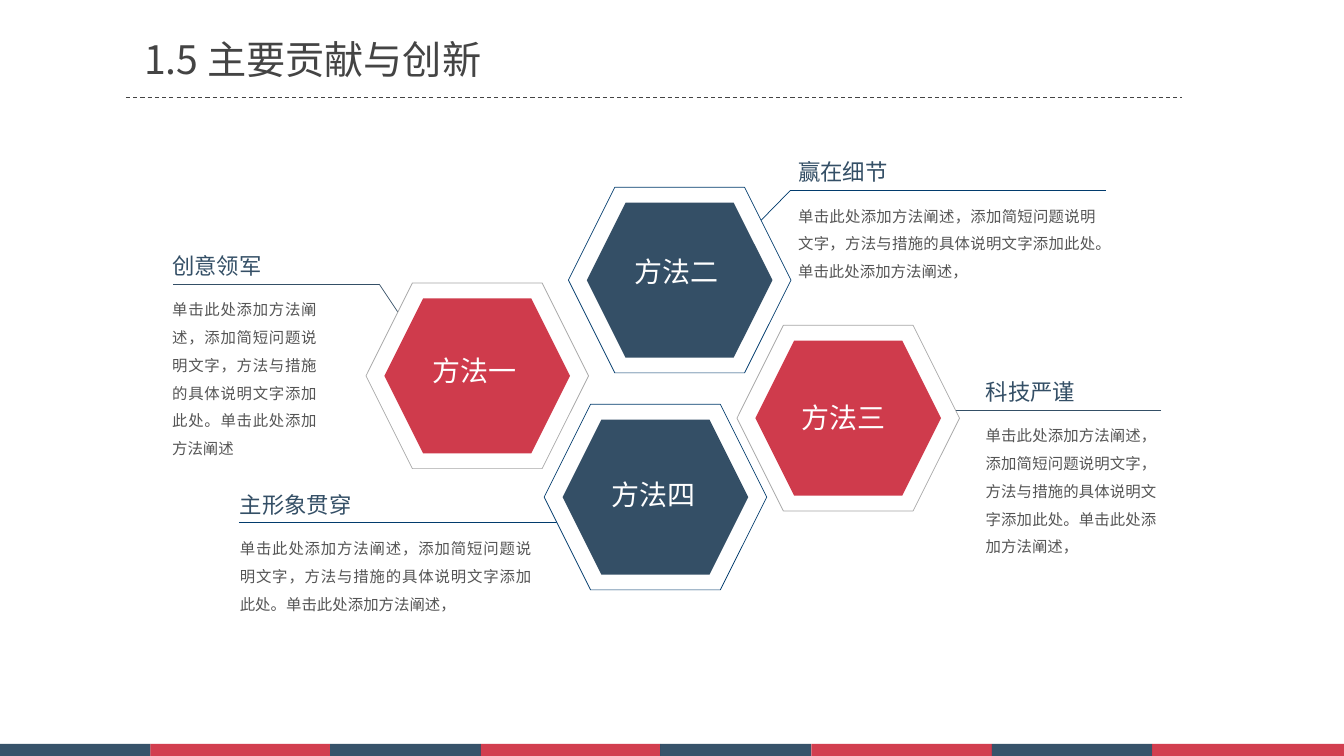
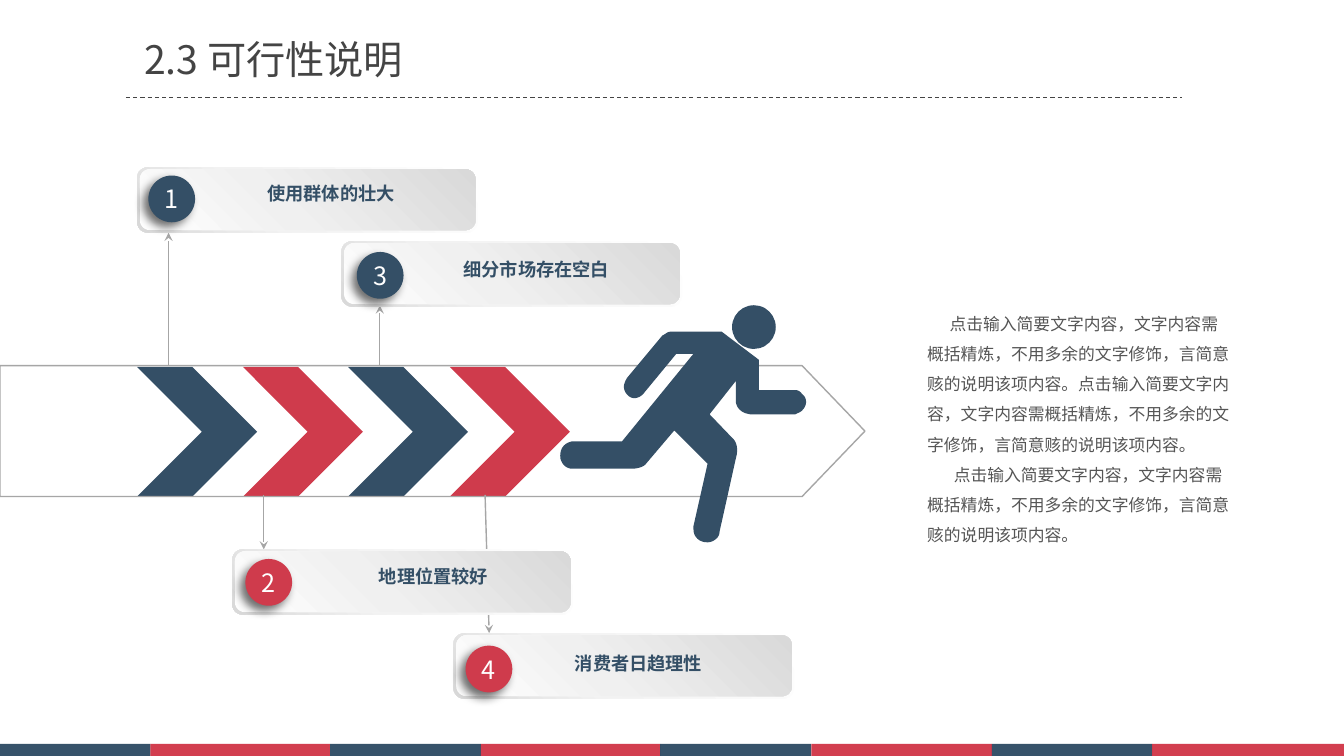
from dataclasses import dataclass
from copy import deepcopy
from lxml.etree import SubElement
from pptx import Presentation
from pptx.dml.color import RGBColor as RGB
from pptx.enum.dml import MSO_LINE as DASHES
from pptx.enum.shapes import MSO_CONNECTOR as LINK, MSO_SHAPE as FORM
from pptx.enum.text import MSO_ANCHOR as ANCHOR, MSO_AUTO_SIZE as AUTOSIZE, PP_ALIGN as ALIGN
from pptx.oxml.ns import qn
from pptx.shapes.connector import Connector
from pptx.util import Pt


@dataclass(frozen=True)
class Theme:
    font: str = "Noto Sans CJK SC"
    navy: str = "344F66"
    red: str = "CF3B4C"
    band_navy: str = "062845"
    band_red: str = "C70E23"
    blue_line: str = "013B6D"
    grey_line: str = "A6A6A6"
    title: str = "444444"
    body: str = "555555"
    white: str = "FFFFFF"
    title_size: float = 28
    label_size: float = 20
    number_size: float = 18
    heading_size: float = 16
    card_size: float = 13
    text_size: float = 12
    note_size: float = 11


theme = Theme()
SNUG = dict.fromkeys(("margin_left", "margin_right", "margin_top", "margin_bottom"), Pt(0))
BASE = {"word_wrap": True, "auto_size": AUTOSIZE.NONE, "vertical_anchor": ANCHOR.TOP}


def paint(shape, fill=None, outline=None, weight=0.5):
    if outline:
        shape.line.color.rgb = RGB.from_string(outline)
        shape.line.width = Pt(weight)
    else:
        shape.line.fill.background()
    if isinstance(shape, Connector):
        SubElement(shape._element.spPr, qn("a:effectLst"))
        return shape
    shape.shadow.inherit = False
    if fill:
        shape.fill.solid()
        shape.fill.fore_color.rgb = RGB.from_string(fill)
    else:
        shape.fill.background()
    return shape


def write(frame, text, size, color, layout=None, align=ALIGN.LEFT, spacing=1.0, bold=False):
    for name, value in {**BASE, **(layout or {})}.items():
        setattr(frame, name, value)
    frame.text = text
    for paragraph in frame.paragraphs:
        for name, value in {"alignment": align, "line_spacing": spacing}.items():
            setattr(paragraph, name, value)
        for run in paragraph.runs:
            for name, value in {"name": theme.font, "size": Pt(size), "bold": bold}.items():
                setattr(run.font, name, value)
            run.font.color.rgb = RGB.from_string(color)
            SubElement(run.font._element, qn("a:ea"), typeface=theme.font)


deck = Presentation()
deck.slide_width, deck.slide_height = Pt(960), Pt(540)

title_only = deck.slide_layouts[5]
layout_title, *unused = title_only.placeholders
for placeholder in unused:
    placeholder._element.getparent().remove(placeholder._element)
for name, value in {"left": 103, "top": 25.2, "width": 287.3, "height": 33.8}.items():
    setattr(layout_title, name, Pt(value))

slides = []
for heading in ("1.5 主要贡献与创新", "2.3 可行性说明"):
    slide = deck.slides.add_slide(title_only)
    write(slide.shapes.title.text_frame, heading, theme.title_size, theme.title, SNUG)
    slides.append(slide)
methods, feasibility = (slide.shapes for slide in slides)

shared = []
band_edges = [0, 107.5, 235.75, 343.5, 471.5, 579.5, 708.5, 823, 960]
for index, (left, right) in enumerate(zip(band_edges, band_edges[1:])):
    band = methods.add_shape(FORM.RECTANGLE, Pt(left), Pt(531.3), Pt(right - left), Pt(8.7))
    paint(band, (theme.band_navy, theme.band_red)[index % 2])
    tint = band._element.spPr.find(qn("a:solidFill"))[0]
    SubElement(tint, qn("a:alpha"), val="80000")
    shared.append(band)
title_rule = methods.add_connector(LINK.STRAIGHT, Pt(90), Pt(69.6), Pt(844), Pt(69.6))
paint(title_rule, outline=theme.title, weight=0.75)
title_rule.line.dash_style = DASHES.DASH
shared.append(title_rule)
for part in shared:
    title_only.shapes._spTree.append(part._element)

leaders = [
    (564.5, 136.1, 529.2, 172.1, theme.blue_line),
    (789.8, 136.1, 564.5, 136.1, theme.blue_line),
    (829.4, 293, 661.7, 293, theme.navy),
    (170.6, 373.4, 420.5, 373.4, theme.blue_line),
    (123.8, 203, 270.9, 203, theme.navy),
    (270.9, 203, 316.1, 270.7, theme.navy),
]
for *ends, color in leaders:
    paint(methods.add_connector(LINK.STRAIGHT, *map(Pt, ends)), outline=color)

cells = [
    ("方法二", 406, 133.8, 445.7, 178.6, theme.navy, theme.blue_line),
    ("方法一", 261.4, 202.2, 301.7, 249.1, theme.red, theme.grey_line),
    ("方法四", 388.7, 288.8, 429.1, 337.7, theme.navy, theme.blue_line),
    ("方法三", 526.4, 232.4, 565.2, 282.2, theme.red, theme.grey_line),
]
for label, left, top, label_left, label_top, fill, outline in cells:
    rim = methods.add_shape(FORM.HEXAGON, Pt(left), Pt(top), Pt(159), Pt(132.6))
    paint(rim, theme.white, outline)
    core = methods.add_shape(FORM.HEXAGON, Pt(left + 13.2), Pt(top + 10.9), Pt(132.6), Pt(110.8))
    paint(core, fill)
    caption = methods.add_textbox(Pt(label_left), Pt(label_top), Pt(74.9), Pt(31.7))
    write(caption.text_frame, label, theme.label_size, theme.white,
          {"word_wrap": False}, ALIGN.CENTER)

explanation = "单击此处添加方法阐述，添加简短问题说明文字，方法与措施的具体说明文字添加此处。单击此处添加方法阐述"
notes = [
    ("创意领军", 115.9, 176.4, 117.4, 127.4, ""),
    ("赢在细节", 563, 109.4, 226.8, 67, "，"),
    ("主形象贯穿", 164.2, 347, 222.5, 67, "，"),
    ("科技严谨", 697, 266.4, 136.1, 107.3, "，"),
]
for heading, left, top, width, height, ending in notes:
    heading_box = methods.add_textbox(Pt(left), Pt(top), Pt(134.6), Pt(26.6))
    write(heading_box.text_frame, heading, theme.heading_size, theme.navy)
    note = methods.add_textbox(Pt(left), Pt(top + 28.1), Pt(width), Pt(height))
    write(note.text_frame, explanation + ending, theme.note_size, theme.body,
          align=ALIGN.JUSTIFY, spacing=1.5)

for index, left in enumerate((97.9, 173.5, 248.6, 321.3)):
    chevron = feasibility.add_shape(FORM.CHEVRON, Pt(left), Pt(262.1), Pt(85.7), Pt(92.7))
    chevron.adjustments[0] = 0.54
    paint(chevron, (theme.navy, theme.red)[index % 2])

pointers = [
    (271.3, 261.4, 271.3, 218.2),
    (120.4, 261.4, 120.4, 166.3),
    (346.5, 353.5, 349.4, 452.2),
    (188.4, 353.5, 188.4, 392.4),
]
for ends in pointers:
    pointer = paint(feasibility.add_connector(LINK.STRAIGHT, *map(Pt, ends)),
                    outline=theme.grey_line, weight=1)
    SubElement(pointer._element.spPr.find(qn("a:ln")), qn("a:tailEnd"), type="stealth")

track = feasibility.add_shape(FORM.PENTAGON, Pt(0), Pt(261.2), Pt(617.8), Pt(93.5))
track.adjustments[0] = 0.48
paint(track, outline=theme.grey_line, weight=1)

advice = "点击输入简要文字内容，文字内容需概括精炼，不用多余的文字修饰，言简意赅的说明该项内容。"
summary = feasibility.add_textbox(Pt(655.2), Pt(213.1), Pt(231.1), Pt(179.3))
write(summary.text_frame, f"{advice * 2}\n{advice}", theme.text_size, theme.body, spacing=1.5)
for paragraph, indent in zip(summary.text_frame.paragraphs, (16, 19)):
    paragraph._p.get_or_add_pPr().set("indent", str(Pt(indent)))

cards = [
    ("1", "使用群体的壮大", 97.9, 119.4, 106, 125.4, 133.2, 206.6, theme.navy),
    ("2", "地理位置较好", 165.8, 392.3, 175.3, 399.3, 212.4, 194.4, theme.red),
    ("3", "细分市场存在空白", 243.8, 172.2, 254.9, 180, 283.7, 198.7, theme.navy),
    ("4", "消费者日趋理性", 323.9, 452.3, 332.6, 461.2, 352.8, 206.6, theme.red),
]
card_layers = [
    (0, 0, 243.4, 46.8, 225, ((0, "FFFFFF"), (0.62, "F2F2F2"), (1, "D9D9D9"))),
    (2, 1.5, 239.8, 43.5, 45, ((0, "FFFFFF"), (0.42, "F0F0F0"), (1, "D9D9D9"))),
]
for number, heading, left, top, dot_left, dot_top, text_left, text_width, color in cards:
    for inset_x, inset_y, width, height, angle, shades in card_layers:
        layer = feasibility.add_shape(FORM.ROUNDED_RECTANGLE, Pt(left + inset_x),
                                      Pt(top + inset_y), Pt(width), Pt(height))
        paint(layer)
        layer.fill.gradient()
        layer.fill.gradient_angle = angle
        stops = layer._element.spPr.find(qn("a:gradFill")).find(qn("a:gsLst"))
        stops.append(deepcopy(stops[-1]))
        for stop, (position, shade) in zip(layer.fill.gradient_stops, shades):
            stop.position = position
            stop.color.rgb = RGB.from_string(shade)
    dot = feasibility.add_shape(FORM.OVAL, Pt(dot_left), Pt(dot_top), Pt(33.4), Pt(33.4))
    paint(dot, color)
    shadow = SubElement(dot._element.spPr.find(qn("a:effectLst")), qn("a:outerShdw"),
                        blurRad=str(Pt(7)), dist=str(Pt(5)), dir="8100000",
                        algn="tr", rotWithShape="0")
    shade = SubElement(shadow, qn("a:srgbClr"), val="000000")
    SubElement(shade, qn("a:alpha"), val="57000")
    write(dot.text_frame, number, theme.number_size, theme.white,
          {**SNUG, "vertical_anchor": ANCHOR.MIDDLE}, ALIGN.CENTER)
    heading_box = feasibility.add_textbox(Pt(text_left), Pt(dot_top + 4.7), Pt(text_width), Pt(15.8))
    write(heading_box.text_frame, heading, theme.card_size, theme.navy, SNUG,
          ALIGN.CENTER, bold=True)

runner_head = feasibility.add_shape(FORM.OVAL, Pt(522.9), Pt(218), Pt(31.2), Pt(31.2))
paint(runner_head, theme.navy)

body_outline = [
    (567, 438), (617, 438), (688, 351), (671, 351), (638, 391),
    (636, 393, 633, 395, 629, 395), (624, 395, 619, 389, 619, 384),
    (619, 380, 621, 377, 622, 375), (657, 333), (661, 331, 662, 329, 666, 329),
    (716, 329), (753, 357), (753, 387), (789, 387),
    (793, 387, 794, 389, 796, 391), (801, 395, 801, 402, 796, 407),
    (794, 409, 793, 409, 789, 411), (744, 411), (730, 409, 730, 398, 730, 398),
    (730, 378), (704, 411), (728, 436), (728, 436, 734, 442, 730, 455),
    (714, 527), (714, 534, 707, 538, 702, 538), (694, 538, 688, 533, 688, 525),
    (688, 522), (702, 460), (669, 427), (641, 460), (641, 460, 638, 465, 626, 465),
    (568, 465), (563, 465, 558, 462, 556, 455), (555, 447, 558, 440, 567, 438),
]
CURVE_STEPS = 8
contour = []
for segment in body_outline:
    if len(segment) == 2:
        contour.append(segment)
        continue
    knots = [contour[-1], segment[:2], segment[2:4], segment[4:]]
    for step in range(1, CURVE_STEPS + 1):
        t = step / CURVE_STEPS
        weights = ((1 - t) ** 3, 3 * t * (1 - t) ** 2, 3 * t * t * (1 - t), t ** 3)
        contour.append(tuple(sum(w * knot[axis] for w, knot in zip(weights, knots))
                             for axis in (0, 1)))
contour = [(x * 72, y * 72) for x, y in contour]
runner = feasibility.build_freeform(*contour[0], scale=Pt(0.01))
runner.add_line_segments(contour[1:], close=True)
paint(runner.convert_to_shape(), theme.navy)

deck.save("out.pptx")
